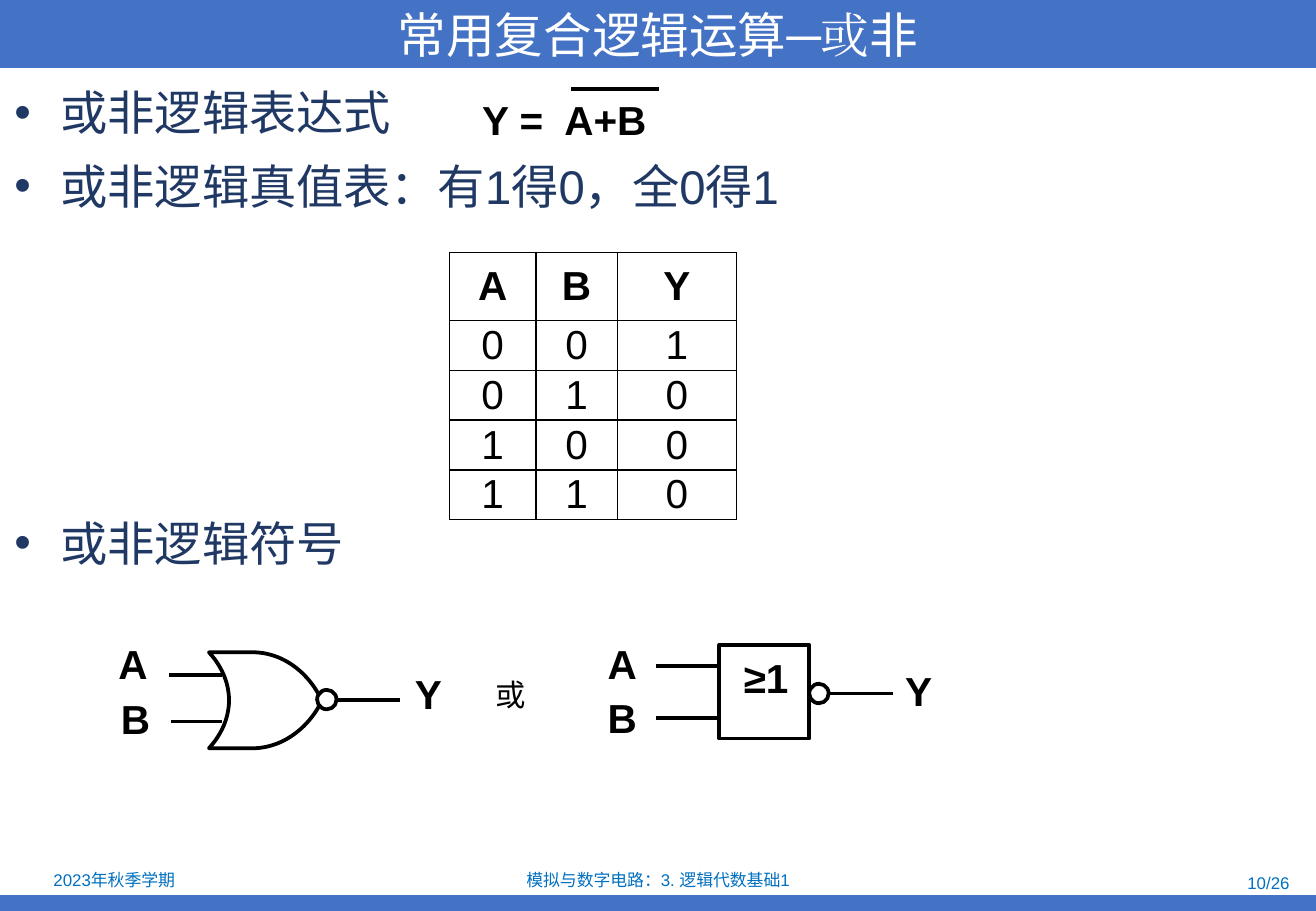
from pptx import Presentation
from pptx.dml.color import RGBColor
from pptx.enum.shapes import MSO_CONNECTOR, MSO_SHAPE
from pptx.enum.text import MSO_ANCHOR, PP_ALIGN
from pptx.oxml.ns import qn
from pptx.util import Inches, Pt
from lxml.etree import SubElement

COLORS = {"bar": "4472C4", "footer": "0070C0", "body": "203864",
          "ink": "000000", "paper": "FFFFFF"}
LATIN, HAN, SERIF = "Arial", "Noto Sans CJK SC", "Times New Roman"
LEFT, CENTER, RIGHT = PP_ALIGN.LEFT, PP_ALIGN.CENTER, PP_ALIGN.RIGHT


def bezier(start, first, second, end, steps=24):
    points = []
    for step in range(1, steps + 1):
        t = step / steps
        weights = ((1 - t) ** 3, 3 * t * (1 - t) ** 2, 3 * t * t * (1 - t), t ** 3)
        points.append(tuple(
            sum(w * p[axis] for w, p in zip(weights, (start, first, second, end)))
            for axis in (0, 1)))
    return points


class LogicSlide:
    def __init__(self, deck):
        self.slide = deck.slides.add_slide(deck.slide_layouts[6])
        self.shapes = self.slide.shapes
        self.stroke = Pt(2.25)

    def color(self, name):
        return RGBColor.from_string(COLORS[name])

    def style(self, run, size, color="ink", bold=False, latin=LATIN, han=HAN):
        run.font.size = Pt(size)
        run.font.bold = bold
        run.font.name = latin
        run.font.color.rgb = self.color(color)
        SubElement(run.font._element, qn("a:ea"), typeface=han)

    def text(self, box, content, size, color="ink", bold=False, align=LEFT,
             middle=False, inset=True, spacing=None):
        frame = self.shapes.add_textbox(*map(Inches, box)).text_frame
        frame.word_wrap = True
        if middle:
            frame.vertical_anchor = MSO_ANCHOR.MIDDLE
        if not inset:
            frame.margin_left = frame.margin_right = 0
            frame.margin_top = frame.margin_bottom = 0
        frame.text = content
        paragraph = frame.paragraphs[0]
        paragraph.alignment = align
        paragraph.line_spacing = spacing
        self.style(paragraph.runs[0], size, color, bold)

    def label(self, x, y, width, content):
        self.text((x, y, width, 0.36), content, 24, bold=True, align=CENTER,
                  inset=False, spacing=0.9)

    def bullets(self, box, items, size):
        frame = self.shapes.add_textbox(*map(Inches, box)).text_frame
        frame.word_wrap = True
        frame.text = "\n".join(content for content, _ in items)
        for paragraph, (_, gap) in zip(frame.paragraphs, items):
            properties = paragraph._p.get_or_add_pPr()
            properties.set("marL", str(Inches(0.38)))
            properties.set("indent", str(-Inches(0.38)))
            paragraph.space_before = Pt(gap)
            SubElement(properties, qn("a:buFont"), typeface=LATIN)
            SubElement(properties, qn("a:buChar"), char="•")
            self.style(paragraph.runs[0], size, "body")

    def outline(self, shape, fill=None, line="ink"):
        shape.shadow.inherit = False
        if fill:
            shape.fill.solid()
            shape.fill.fore_color.rgb = self.color(fill)
        else:
            shape.fill.background()
        if line:
            shape.line.color.rgb = self.color(line)
            shape.line.width = self.stroke
        else:
            shape.line.fill.background()
        return shape

    def shape(self, kind, box, fill=None, line="ink"):
        return self.outline(self.shapes.add_shape(kind, *map(Inches, box)), fill, line)

    def curve(self, points):
        points = [(Inches(x), Inches(y)) for x, y in points]
        builder = self.shapes.build_freeform(*points[0])
        builder.add_line_segments(points[1:], close=True)
        self.outline(builder.convert_to_shape())

    def wire(self, x1, x2, y):
        wire = self.shapes.add_connector(
            MSO_CONNECTOR.STRAIGHT, Inches(x1), Inches(y), Inches(x2), Inches(y))
        wire.line.color.rgb = self.color("ink")
        wire.line.width = self.stroke
        SubElement(wire._element.spPr, qn("a:effectLst"))

    def title(self, box, parts):
        bar = self.shape(MSO_SHAPE.RECTANGLE, box, "bar", None)
        bar.text_frame.vertical_anchor = MSO_ANCHOR.MIDDLE
        paragraph = bar.text_frame.paragraphs[0]
        paragraph.alignment = CENTER
        for content, font in parts:
            run = paragraph.add_run()
            run.text = content
            self.style(run, 28.8, "paper", latin=font, han=font)

    def table(self, box, widths, heights, rows):
        table = self.shapes.add_table(
            len(rows), len(widths), *map(Inches, box)).table
        table.first_row = table.horz_banding = False
        for column, width in zip(table.columns, widths):
            column.width = Inches(width)
        for row, height, values in zip(table.rows, heights, rows):
            row.height = Inches(height)
            for cell, value in zip(row.cells, values):
                self.cell(cell, value)

    def cell(self, cell, value):
        cell.margin_left = cell.margin_right = 0
        cell.margin_top = cell.margin_bottom = 0
        cell.vertical_anchor = MSO_ANCHOR.MIDDLE
        for side in ("lnL", "lnR", "lnT", "lnB"):
            border = SubElement(cell._tc.get_or_add_tcPr(), qn("a:" + side), w=str(Pt(1)))
            fill = SubElement(border, qn("a:solidFill"))
            SubElement(fill, qn("a:srgbClr"), val=COLORS["ink"])
        cell.fill.background()
        cell.text_frame.text = value
        paragraph = cell.text_frame.paragraphs[0]
        paragraph.alignment = CENTER
        self.style(paragraph.runs[0], 24, bold=value.isalpha())


def main():
    deck = Presentation()
    deck.slide_width, deck.slide_height = Inches(10.83), Inches(7.5)
    nor = LogicSlide(deck)

    nor.shape(MSO_SHAPE.RECTANGLE, (0, 7.37, 10.83, 0.13), "bar", None)
    nor.title((0, 0, 10.83, 0.56),
              [("常用复合逻辑运算", HAN), ("─或", SERIF), ("非", HAN)])
    for box, content, align in (
            ((0.02, 7.13, 1.84, 0.23), "2023年秋季学期", CENTER),
            ((3.7, 7.14, 3.43, 0.21), "模拟与数字电路：3. 逻辑代数基础1", CENTER),
            ((8.18, 7.16, 2.53, 0.21), "10/26", RIGHT)):
        nor.text(box, content, 10, "footer", align=align, middle=True)

    nor.bullets((0.02, 0.64, 7.26, 6.5),
                [("或非逻辑表达式", 0), ("或非逻辑真值表：有1得0，全0得1", 10),
                 ("或非逻辑符号", 178)], 28)
    nor.text((3.87, 0.73, 2.6, 0.5), "Y =  A+B", 24, bold=True)
    nor.wire(4.7, 5.42, 0.73)

    truth = [(a, b, int(not (a or b))) for a in (0, 1) for b in (0, 1)]
    nor.table((3.7, 2.08, 2.36, 2.2), (0.71, 0.67, 0.98), [0.56] + [0.41] * 4,
              ["ABY"] + [[str(value) for value in row] for row in truth])

    nor.text((3.98, 5.52, 0.6, 0.4), "或", 18)

    for x, y, width, name in (
            (0.92, 5.31, 0.35, "A"), (0.94, 5.76, 0.35, "B"), (3.35, 5.55, 0.35, "Y"),
            (5, 5.31, 0.24, "A"), (5, 5.75, 0.24, "B"), (7.44, 5.53, 0.24, "Y"),
            (6.03, 5.42, 0.55, "≥1")):
        nor.label(x, y, width, name)
    for x1, x2, y in (
            (1.39, 1.83, 5.56), (1.41, 1.83, 5.94), (2.77, 3.29, 5.76),
            (5.4, 5.92, 5.48), (5.4, 5.92, 5.91), (6.83, 7.35, 5.71)):
        nor.wire(x1, x2, y)

    top, tip, bottom = 5.37, (2.65, 5.77), 6.16
    nor.curve([(1.72, top), (2.08, top)]
              + bezier((2.08, top), (2.32, top), (2.54, 5.53), tip)
              + bezier(tip, (2.53, 6.01), (2.31, bottom), (2.08, bottom))
              + [(1.72, bottom)]
              + bezier((1.72, bottom), (1.94, 5.92), (1.94, 5.61), (1.72, top)))
    nor.shape(MSO_SHAPE.OVAL, (2.61, 5.68, 0.16, 0.16), "paper")
    nor.shape(MSO_SHAPE.RECTANGLE, (5.92, 5.31, 0.74, 0.77))
    nor.shape(MSO_SHAPE.OVAL, (6.66, 5.63, 0.16, 0.16))

    deck.save("out.pptx")


if __name__ == "__main__":
    main()
